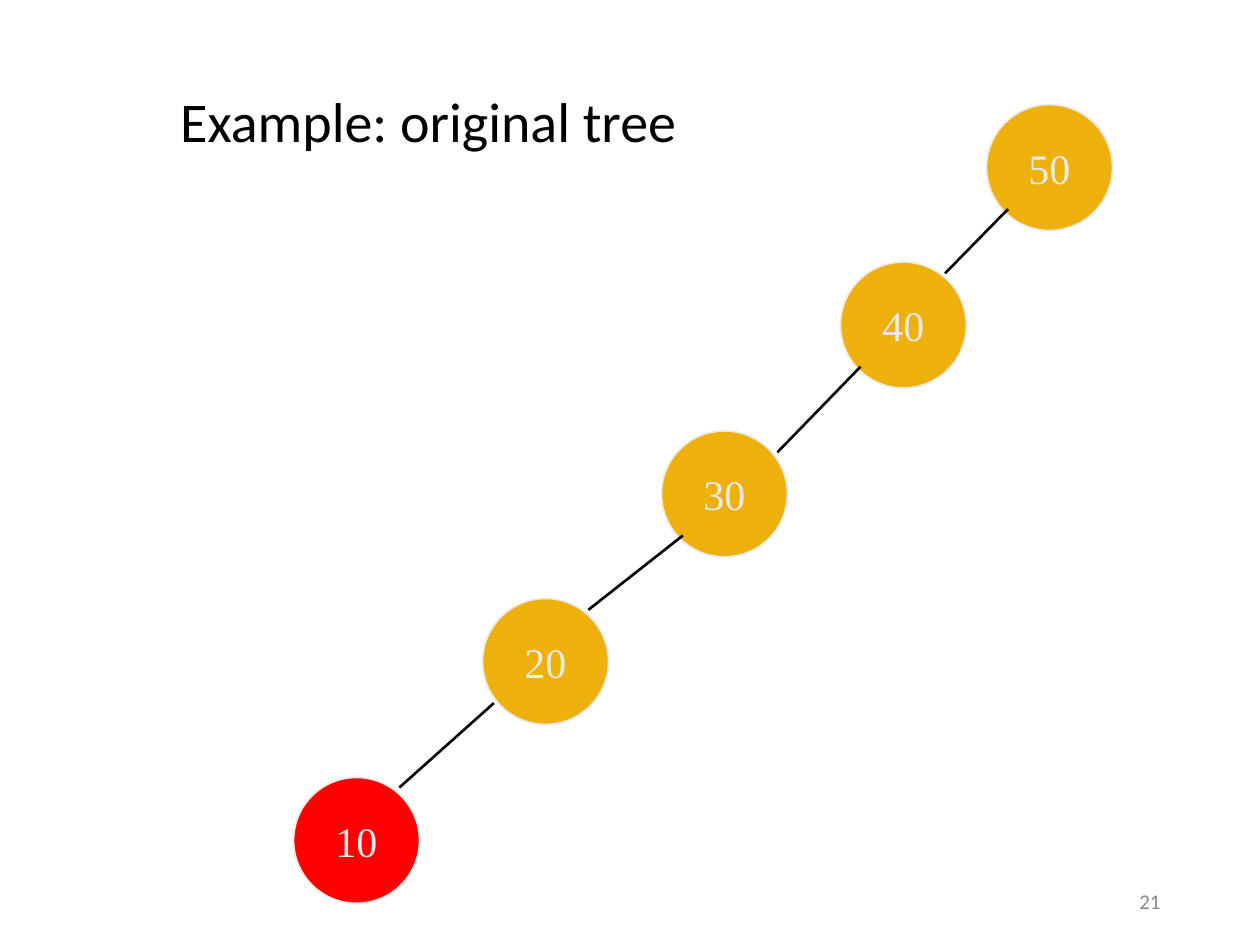
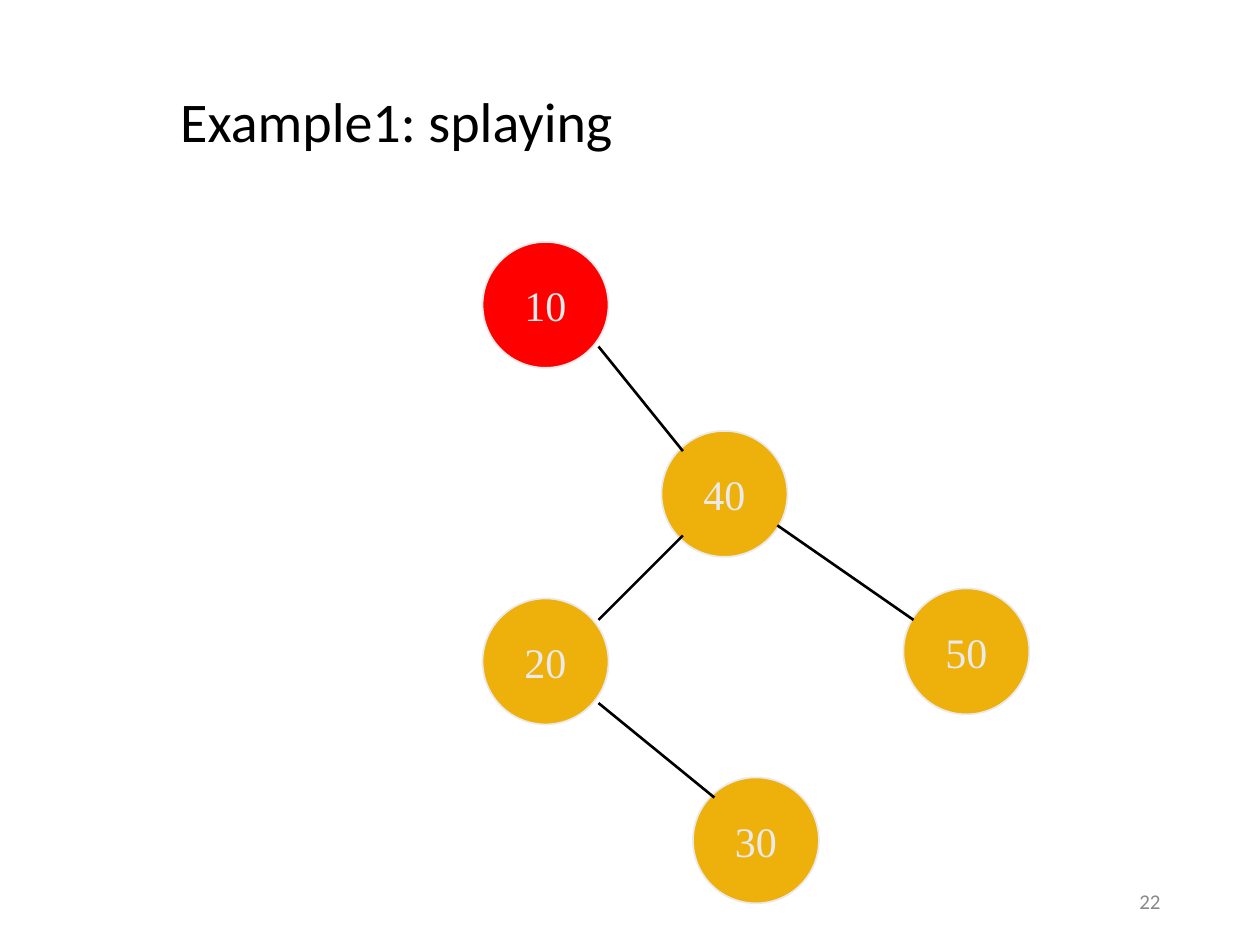
from typing import NamedTuple

from lxml.etree import SubElement
from pptx import Presentation
from pptx.dml.color import RGBColor
from pptx.enum.shapes import MSO_CONNECTOR as Connector, MSO_SHAPE as Shape
from pptx.enum.text import MSO_ANCHOR as Anchor, MSO_AUTO_SIZE as AutoSize, PP_ALIGN as Align
from pptx.oxml.ns import qn
from pptx.util import Inches, Pt

BLACK = RGBColor(0x00, 0x00, 0x00)
GREY = RGBColor(0x89, 0x89, 0x89)
PALE = RGBColor(0xEA, 0xEA, 0xEA)
GOLD = RGBColor(0xEE, 0xB0, 0x0B)
RED = RGBColor(0xFF, 0x00, 0x00)

TITLE_FORMAT = {"name": "Calibri", "size": Pt(32), "color": BLACK}
NUMBER_FORMAT = {"name": "Calibri", "size": Pt(12), "color": GREY}
NODE_FORMAT = {"name": "Times New Roman", "size": Pt(24), "color": PALE}

NODE_SIZE = 1
SPLAYED_KEY = 10
TITLE_ONLY_LAYOUT = 5


class Node(NamedTuple):
    key: int
    left: float
    top: float


class Edge(NamedTuple):
    start_x: float
    start_y: float
    end_x: float
    end_y: float


class TreePage(NamedTuple):
    title: str
    number: int
    nodes: list[Node]
    edges: list[Edge]


TREE_PAGES = [
    TreePage(
        "Example: original tree",
        21,
        [
            Node(50, 7.83, 0.83),
            Node(40, 6.67, 2.08),
            Node(20, 3.83, 4.75),
            Node(10, 2.33, 6.17),
            Node(30, 5.25, 3.42),
        ],
        [
            Edge(3.17, 6.25, 3.92, 5.58),
            Edge(4.67, 4.84, 5.42, 4.25),
            Edge(6.17, 3.59, 6.83, 2.91),
            Edge(7.5, 2.17, 8, 1.66),
        ],
    ),
    TreePage(
        "Example1: splaying",
        22,
        [
            Node(10, 3.83, 1.92),
            Node(50, 7.17, 4.67),
            Node(20, 3.83, 4.75),
            Node(30, 5.5, 6.17),
            Node(40, 5.25, 3.42),
        ],
        [
            Edge(4.75, 2.75, 5.42, 3.58),
            Edge(6.17, 4.17, 7.25, 4.92),
            Edge(5.42, 4.25, 4.75, 4.92),
            Edge(4.75, 5.58, 5.67, 6.33),
        ],
    ),
]


def write_text(box, text: str, alignment: Align, text_format: dict, wrap: bool = True) -> None:
    frame = box.text_frame
    frame.auto_size = AutoSize.NONE
    frame.word_wrap = wrap
    frame.vertical_anchor = Anchor.MIDDLE
    para = frame.paragraphs[0]
    para.alignment = alignment
    span = para.add_run()
    span.text = text
    for name, value in text_format.items():
        if name == "color":
            span.font.color.rgb = value
        else:
            setattr(span.font, name, value)


def add_title(page, text: str) -> None:
    title = page.shapes.title
    title.left, title.top = Inches(1.33), Inches(0.33)
    title.width, title.height = Inches(8.5), Inches(1.32)
    write_text(title, text, Align.LEFT, TITLE_FORMAT)
    title.text_frame.paragraphs[0].line_spacing = 0.9


def add_page_number(page, number: int) -> None:
    box = page.shapes.add_textbox(Inches(7.06), Inches(6.95), Inches(2.25), Inches(0.4))
    write_text(box, str(number), Align.RIGHT, NUMBER_FORMAT)


def add_node(page, node: Node) -> None:
    circle = page.shapes.add_shape(
        Shape.OVAL, Inches(node.left), Inches(node.top), Inches(NODE_SIZE), Inches(NODE_SIZE)
    )
    circle.shadow.inherit = False
    circle.fill.solid()
    circle.fill.fore_color.rgb = RED if node.key == SPLAYED_KEY else GOLD
    circle.line.color.rgb = PALE
    circle.line.width = Pt(1)
    write_text(circle, str(node.key), Align.CENTER, NODE_FORMAT, wrap=False)


def add_edge(page, edge: Edge) -> None:
    line = page.shapes.add_connector(Connector.STRAIGHT, *map(Inches, edge))
    line.line.color.rgb = BLACK
    line.line.width = Pt(1.5)
    SubElement(line._element.spPr, qn("a:effectLst"))


def add_tree_page(deck, tree: TreePage) -> None:
    page = deck.slides.add_slide(deck.slide_layouts[TITLE_ONLY_LAYOUT])
    add_title(page, tree.title)
    add_page_number(page, tree.number)
    for node in tree.nodes:
        add_node(page, node)
    for edge in tree.edges:
        add_edge(page, edge)


def main() -> None:
    deck = Presentation()
    deck.slide_width, deck.slide_height = Inches(10), Inches(7.5)
    for tree in TREE_PAGES:
        add_tree_page(deck, tree)
    deck.save("out.pptx")


if __name__ == "__main__":
    main()
